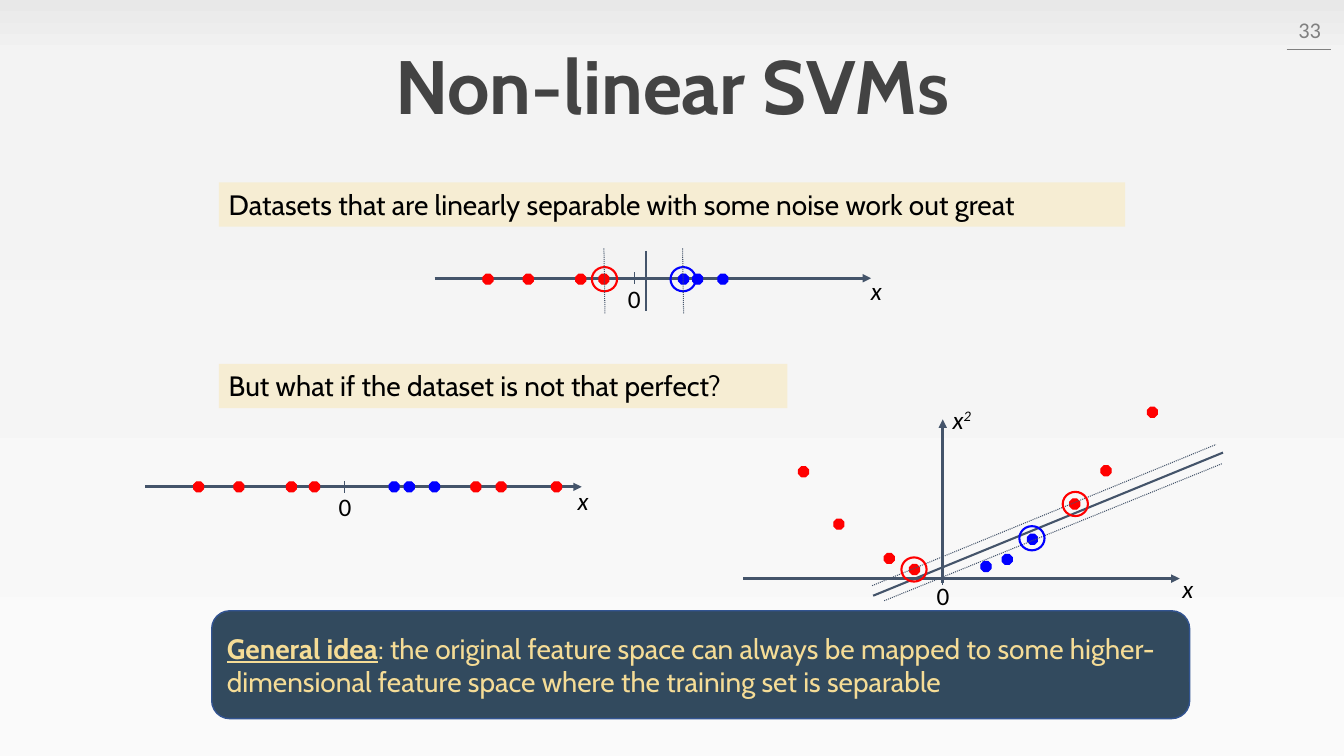
import pptx
import pptx.util
from lxml import etree
from pptx.dml.color import RGBColor
from pptx.enum.dml import MSO_LINE
from pptx.enum.shapes import MSO_CONNECTOR, MSO_SHAPE
from pptx.enum.text import MSO_ANCHOR, PP_ALIGN
from pptx.oxml.ns import qn
from pptx.util import Inches

COLORS = {
    "title": "434343", "grey": "808080", "black": "000000", "axis": "44546A",
    "red": "FF0000", "blue": "0000FF", "caption": "F6EDD3",
    "idea": "324A5E", "idea_line": "325491", "idea_text": "F5DC96",
}
BACKGROUND_STOPS = [(0, "FAFAFA"), (84, "F3F3F3"), (94, "F0F0F0"), (100, "E8E8E8")]
DOT = 0.1
RING_W, RING_H = 0.25, 0.24
AXIS_LENGTH, ZERO_OFFSET = 4.33, 1.98


def rgb(name):
    return RGBColor.from_string(COLORS[name])


def format_run(r, size, font, color, bold=False, italic=False):
    r.font.size = pptx.util.Pt(size)
    r.font.name = font
    r.font.bold = bold
    r.font.italic = italic
    r.font.color.rgb = rgb(color)


def set_background(s):
    fill = s.background.fill
    fill.gradient()
    fill.gradient_angle = 90
    stops = s._element.find(".//" + qn("a:gsLst"))
    for stop in list(stops):
        stops.remove(stop)
    for position, color in BACKGROUND_STOPS:
        stop = etree.SubElement(stops, qn("a:gs"), pos=str(position * 1000))
        etree.SubElement(stop, qn("a:srgbClr"), val=color)


def add_line(shapes, start, end, width, color="axis", dotted=False, arrow=False):
    points = [Inches(v) for v in (*start, *end)]
    line = shapes.add_connector(MSO_CONNECTOR.STRAIGHT, *points)
    line.line.color.rgb = rgb(color)
    line.line.width = pptx.util.Pt(width)
    if dotted:
        line.line.dash_style = MSO_LINE.ROUND_DOT
    if arrow:
        etree.SubElement(line.line._get_or_add_ln(), qn("a:tailEnd"), type="triangle")
    etree.SubElement(line._element.spPr, qn("a:effectLst"))


def add_shape(shapes, kind, box, fill=None, line=None, width=0.75):
    sp = shapes.add_shape(kind, *[Inches(v) for v in box])
    sp.shadow.inherit = False
    if fill:
        sp.fill.solid()
        sp.fill.fore_color.rgb = rgb(fill)
    else:
        sp.fill.background()
    if line:
        sp.line.color.rgb = rgb(line)
        sp.line.width = pptx.util.Pt(width)
    else:
        sp.line.fill.background()
    return sp


def add_dots(shapes, color, corners):
    for left, top in corners:
        add_shape(shapes, MSO_SHAPE.OCTAGON, (left, top, DOT, DOT), color, color)


def add_ring(shapes, color, left, top):
    add_shape(shapes, MSO_SHAPE.OVAL, (left, top, RING_W, RING_H), line=color, width=1.5)


def add_label(shapes, text, box, size=18, color="black", italic=False):
    sp = shapes.add_textbox(*[Inches(v) for v in box])
    tf = sp.text_frame
    tf.word_wrap = True
    p = tf.paragraphs[0]
    p.text = text
    format_run(p.runs[0], size, "Calibri", color, italic=italic)
    return sp


def add_axis(shapes, left, y, zero_top, x_label):
    """Horizontal arrow with a tick at zero and the labels 0 and x."""
    zero = left + ZERO_OFFSET
    add_line(shapes, (left, y), (left + AXIS_LENGTH, y), 2, arrow=True)
    add_line(shapes, (zero, y - 0.06), (zero, y + 0.06), 0.75)
    add_label(shapes, "0", (zero - 0.16, zero_top, 0.38, 0.4))
    add_label(shapes, "x", (*x_label, 0.5, 0.4), italic=True)


def add_caption(s, text, top, width):
    sp = add_shape(s.shapes, MSO_SHAPE.RECTANGLE, (2.17, top, width, 0.44), "caption")
    tf = sp.text_frame
    tf.word_wrap = True
    tf.vertical_anchor = MSO_ANCHOR.TOP
    p = tf.paragraphs[0]
    p.text = text
    p.alignment = PP_ALIGN.LEFT
    format_run(p.runs[0], 20, "Cabin", "black")


def add_title(s, text):
    sp = s.shapes.title
    sp.left, sp.top, sp.width, sp.height = [Inches(v) for v in (0, 0.29, 13.33, 1.2)]
    tf = sp.text_frame
    tf.text = text
    tf.vertical_anchor = MSO_ANCHOR.MIDDLE
    p = tf.paragraphs[0]
    p.alignment = PP_ALIGN.CENTER
    p.line_spacing = 0.9
    format_run(p.runs[0], 54, "Cabin", "title", bold=True)


def add_page_number(s, number):
    add_line(s.shapes, (12.76, 0.49), (13.2, 0.49), 1, "grey")
    sp = add_label(s.shapes, number, (12.64, 0.09, 0.56, 0.4), 16, "grey")
    sp.text_frame.vertical_anchor = MSO_ANCHOR.MIDDLE
    sp.text_frame.paragraphs[0].alignment = PP_ALIGN.RIGHT


def add_separable_line(s):
    shapes = s.shapes.add_group_shape().shapes
    add_axis(shapes, 4.31, 2.76, 2.76, (8.54, 2.68))
    add_dots(shapes, "red", [(x, 2.72) for x in (4.79, 5.19, 5.71, 5.94)])
    add_dots(shapes, "blue", [(x, 2.72) for x in (6.73, 6.87, 7.12)])
    add_line(shapes, (6.41, 2.49), (6.41, 3.09), 1.5)
    for color, left in (("blue", 6.65), ("red", 5.87)):
        add_ring(shapes, color, left, 2.65)
        add_line(shapes, (left + 0.13, 3.11), (left + 0.12, 2.46), 0.75, dotted=True)


def add_mixed_line(s):
    shapes = s.shapes.add_group_shape().shapes
    add_axis(shapes, 1.44, 4.83, 4.83, (5.63, 4.77))
    add_dots(shapes, "red", [(x, 4.78) for x in (1.92, 2.32, 2.84, 3.07, 4.67, 4.92, 5.47)])
    add_dots(shapes, "blue", [(x, 4.78) for x in (3.86, 4.01, 4.26)])


def add_mapped_plot(s):
    shapes = s.shapes.add_group_shape().shapes
    add_axis(shapes, 7.37, 5.74, 5.71, (11.63, 5.64))
    add_line(shapes, (9.35, 5.78), (9.35, 4.16), 2, arrow=True)
    sp = add_label(shapes, "x", (9.35, 3.96, 0.5, 0.4), italic=True)
    r = sp.text_frame.paragraphs[0].add_run()
    r.text = "2"
    format_run(r, 18, "Calibri", "black", italic=True)
    r.font._element.set("baseline", "30000")
    add_dots(shapes, "red", [(7.92, 4.63), (8.27, 5.15), (8.77, 5.49), (9.02, 5.6),
                             (10.61, 4.95), (10.92, 4.62), (11.38, 4.04)])
    add_dots(shapes, "blue", [(9.73, 5.57), (9.94, 5.5), (10.19, 5.3)])
    # Separating line and its margins
    add_line(shapes, (8.66, 5.91), (12.13, 4.49), 1.5)
    add_line(shapes, (8.65, 5.81), (12.06, 4.41), 0.75, dotted=True)
    add_line(shapes, (8.77, 5.96), (12.12, 4.6), 0.75, dotted=True)
    # Support vectors
    add_ring(shapes, "red", 10.54, 4.88)
    add_ring(shapes, "blue", 10.11, 5.22)
    add_ring(shapes, "red", 8.94, 5.53)


def add_idea(s, heading, text):
    sp = add_shape(s.shapes, MSO_SHAPE.ROUNDED_RECTANGLE, (2.1, 6.06, 9.7, 1.07),
                   "idea", "idea_line", 1)
    tf = sp.text_frame
    tf.word_wrap = True
    tf.vertical_anchor = MSO_ANCHOR.MIDDLE
    p = tf.paragraphs[0]
    p.text = heading
    p.alignment = PP_ALIGN.LEFT
    format_run(p.runs[0], 20, "Cabin", "idea_text", bold=True)
    p.runs[0].font.underline = True
    r = p.add_run()
    r.text = text
    format_run(r, 20, "Cabin", "idea_text")


def main():
    prs = pptx.Presentation()
    prs.slide_width, prs.slide_height = Inches(13.33), Inches(7.5)
    s = prs.slides.add_slide(prs.slide_layouts[5])
    set_background(s)
    add_title(s, "Non-linear SVMs")
    add_page_number(s, "33")
    add_caption(s, "Datasets that are linearly separable with some noise work out great", 1.81, 8.99)
    add_separable_line(s)
    add_mixed_line(s)
    add_caption(s, "But what if the dataset is not that perfect?", 3.61, 5.64)
    add_mapped_plot(s)
    add_idea(s, "General idea", ": the original feature space can always be mapped to some "
             "higher-dimensional feature space where the training set is separable")
    prs.save("out.pptx")


if __name__ == "__main__":
    main()
